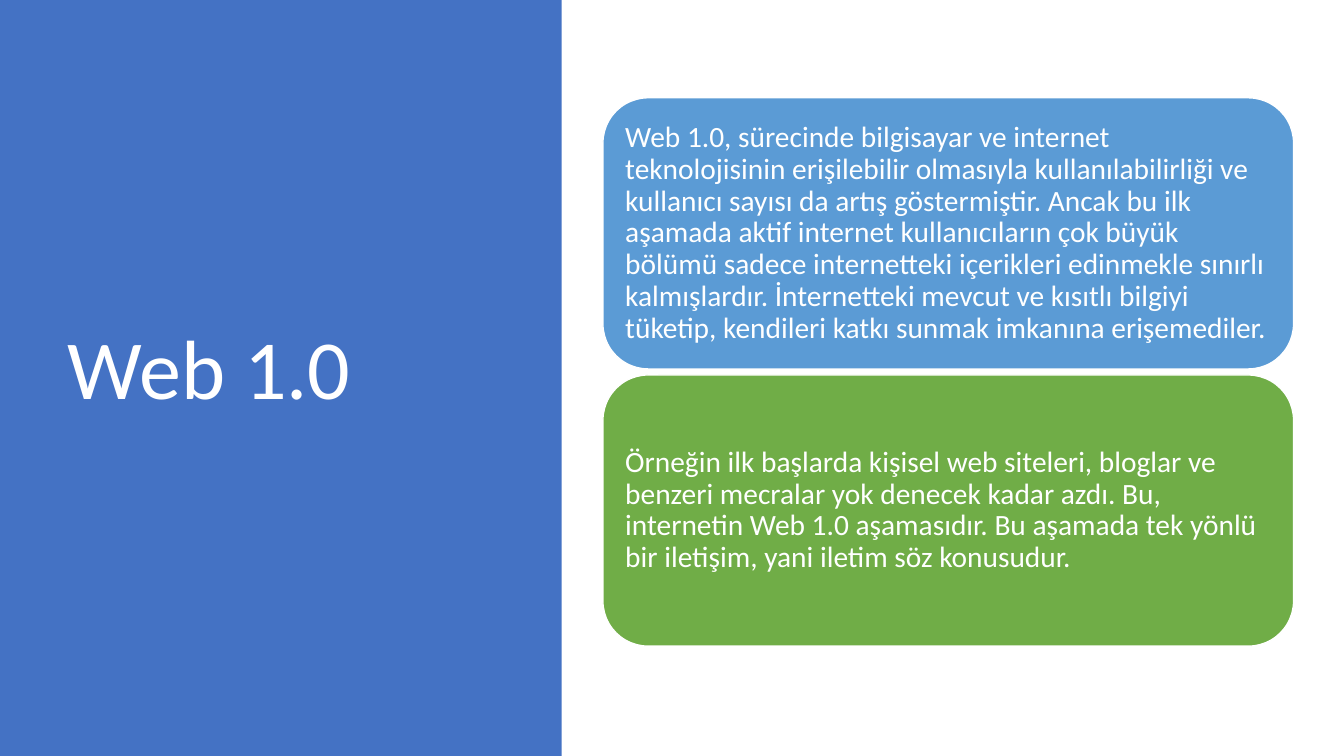
from dataclasses import dataclass

from pptx import Presentation
from pptx.dml.color import RGBColor
from pptx.enum.shapes import MSO_SHAPE
from pptx.enum.text import MSO_ANCHOR, MSO_AUTO_SIZE, PP_ALIGN
from pptx.shapes.autoshape import Shape
from pptx.slide import Slide
from pptx.util import Inches, Pt

RECTANGLE = MSO_SHAPE.RECTANGLE
ROUNDED_RECTANGLE = MSO_SHAPE.ROUNDED_RECTANGLE
MIDDLE = MSO_ANCHOR.MIDDLE
LEFT = PP_ALIGN.LEFT
NO_AUTOFIT = MSO_AUTO_SIZE.NONE

SLIDE_WIDTH, SLIDE_HEIGHT = 13.33, 7.5
PANEL_WIDTH = 5.57
CARD_LEFT, CARD_TOP = 5.98, 0.97
CARD_WIDTH, CARD_HEIGHT = 6.85, 2.69
CARD_GAP = 0.06
CARD_INSET = 0.09
FONT = "Calibri"
COLORS = {
    "panel": "4472C4",
    "blue": "5B9BD5",
    "green": "70AD47",
    "white": "FFFFFF",
}


@dataclass(frozen=True)
class Card:
    text: str
    color: str


CARDS = [
    Card(
        "Web 1.0, sürecinde bilgisayar ve internet teknolojisinin erişilebilir "
        "olmasıyla kullanılabilirliği ve kullanıcı sayısı da artış göstermiştir. "
        "Ancak bu ilk aşamada aktif internet kullanıcıların çok büyük bölümü sadece "
        "internetteki içerikleri edinmekle sınırlı kalmışlardır. İnternetteki mevcut "
        "ve kısıtlı bilgiyi tüketip, kendileri katkı sunmak imkanına erişemediler.",
        "blue",
    ),
    Card(
        "Örneğin ilk başlarda kişisel web siteleri, bloglar ve benzeri mecralar yok "
        "denecek kadar azdı. Bu, internetin Web 1.0 aşamasıdır. Bu aşamada tek yönlü "
        "bir iletişim, yani iletim söz konusudur.",
        "green",
    ),
]


def rgb(name: str) -> RGBColor:
    return RGBColor.from_string(COLORS[name])


def write_text(shape: Shape, text: str, size: float) -> None:
    frame = shape.text_frame
    frame.word_wrap = True
    frame.auto_size = NO_AUTOFIT
    frame.vertical_anchor = MIDDLE
    paragraph = frame.paragraphs[0]
    paragraph.alignment = LEFT
    paragraph.line_spacing = 0.9
    run = paragraph.add_run()
    run.text = text
    run.font.name = FONT
    run.font.size = Pt(size)
    run.font.color.rgb = rgb("white")


def add_panel(slide: Slide) -> None:
    """Add the coloured left side, behind the title."""
    panel = slide.shapes.add_shape(
        RECTANGLE, 0, 0, Inches(PANEL_WIDTH), Inches(SLIDE_HEIGHT)
    )
    panel.shadow.inherit = False
    panel.fill.solid()
    panel.fill.fore_color.rgb = rgb("panel")
    panel.line.fill.background()
    slide.shapes.title.element.addprevious(panel.element)


def add_title(slide: Slide, text: str) -> None:
    title = slide.shapes.title
    title.left, title.top = Inches(0.57), Inches(0.68)
    title.width, title.height = Inches(4.16), Inches(6.02)
    write_text(title, text, 60)


def add_card(slide: Slide, card: Card, row: int) -> None:
    top = CARD_TOP + row * (CARD_HEIGHT + CARD_GAP)
    shape = slide.shapes.add_shape(
        ROUNDED_RECTANGLE,
        Inches(CARD_LEFT),
        Inches(top),
        Inches(CARD_WIDTH),
        Inches(CARD_HEIGHT),
    )
    shape.shadow.inherit = False
    shape.fill.solid()
    shape.fill.fore_color.rgb = rgb(card.color)
    shape.line.color.rgb = rgb("white")
    shape.line.width = Pt(1)
    frame = shape.text_frame
    frame.margin_left = frame.margin_right = Inches(CARD_INSET)
    frame.margin_top = frame.margin_bottom = Inches(CARD_INSET)
    write_text(shape, card.text, 21)


def main() -> None:
    presentation = Presentation()
    presentation.slide_width = Inches(SLIDE_WIDTH)
    presentation.slide_height = Inches(SLIDE_HEIGHT)
    title_only = presentation.slide_layouts.get_by_name("Title Only")
    slide = presentation.slides.add_slide(title_only)
    add_panel(slide)
    add_title(slide, "Web 1.0")
    for row, card in enumerate(CARDS):
        add_card(slide, card, row)
    presentation.save("out.pptx")


if __name__ == "__main__":
    main()
